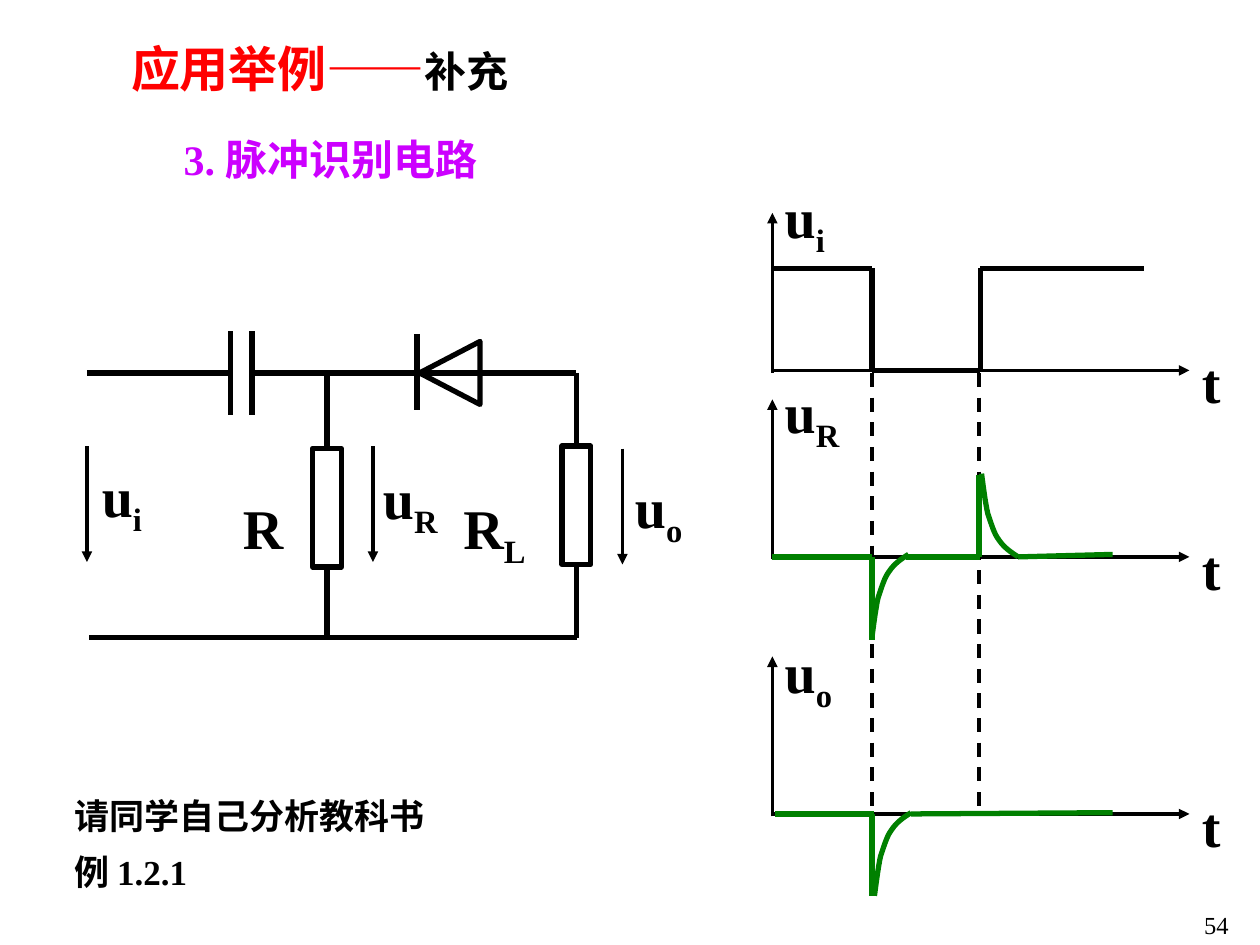
from lxml import etree
from pptx import Presentation
from pptx.dml.color import RGBColor
from pptx.enum import dml, shapes, text
from pptx.oxml import ns
from pptx.util import Inches, Pt

COLORS = {"ink": "000000", "title": "FF0000", "topic": "CC00FF", "signal": "008000"}
LATIN, CHINESE = "Times New Roman", "Noto Sans CJK SC"
DECAY = [
    [(1, 0), (0.79, 0.06), (0.62, 0.11), (0.48, 0.2)],
    [(0.48, 0.2), (0.34, 0.28), (0.28, 0.38), (0.17, 0.52)],
    [(0.17, 0.52), (0.1, 0.65), (0.03, 0.91), (0, 1)],
]


def rgb(name):
    """Return the named colour."""
    return RGBColor.from_string(COLORS[name])


def add_line(slide, start, end, color="ink", width=3, arrow=False, dashed=False):
    """Draw a straight line between two points in inches."""
    connector = slide.shapes.add_connector(
        shapes.MSO_CONNECTOR.STRAIGHT, *(Inches(value) for value in (*start, *end))
    )
    connector.line.color.rgb = rgb(color)
    connector.line.width = Pt(width)
    if dashed:
        connector.line.dash_style = dml.MSO_LINE.DASH
    if arrow:
        line = connector.line._get_or_add_ln()
        etree.SubElement(line, ns.qn("a:tailEnd"), type="triangle")
    etree.SubElement(connector._element.spPr, ns.qn("a:effectLst"))
    return connector


def style_outline(shape, color="ink"):
    """Leave a shape unfilled with a thick outline."""
    shape.shadow.inherit = False
    shape.fill.background()
    shape.line.color.rgb = rgb(color)
    shape.line.width = Pt(3)


def add_run(paragraph, wording, size, color="ink", bold=True, latin=LATIN, baseline=None):
    """Append one formatted run."""
    run = paragraph.add_run()
    run.text = wording
    run.font.size, run.font.bold, run.font.name = Pt(size), bold, latin
    run.font.color.rgb = rgb(color)
    properties = run._r.get_or_add_rPr()
    etree.SubElement(properties, ns.qn("a:ea"), typeface=CHINESE)
    if baseline is not None:
        properties.set("baseline", str(baseline))


def add_box(slide, left, top, width, height, anchor=text.MSO_ANCHOR.TOP):
    """Add a wrapping text box and return its text frame."""
    box = slide.shapes.add_textbox(*(Inches(value) for value in (left, top, width, height)))
    box.text_frame.word_wrap = True
    box.text_frame.vertical_anchor = anchor
    return box.text_frame


def add_label(slide, left, top, symbol, subscript="", width=0.9):
    """Write a bold symbol with an optional subscript."""
    frame = add_box(slide, left, top, width, 0.7)
    frame.margin_top = Inches(0.1)
    add_run(frame.paragraphs[0], symbol, 32)
    if subscript:
        add_run(frame.paragraphs[0], subscript, 32, baseline=-25000)


def add_resistor(slide, left, top, upper_rail, lower_rail):
    """Place a resistor wired to the upper and lower rails."""
    width, height = 0.23, 0.94
    resistor = slide.shapes.add_shape(
        shapes.MSO_SHAPE.RECTANGLE, Inches(left), Inches(top), Inches(width), Inches(height)
    )
    style_outline(resistor)
    center = left + width / 2
    add_line(slide, (center, upper_rail), (center, top)).end_connect(resistor, 0)
    add_line(slide, (center, lower_rail), (center, top + height)).end_connect(resistor, 2)


def add_circuit(slide, left, top):
    """Draw the differentiating circuit with its diode and load."""
    def at(x, y):
        return left + x, top + y

    upper, lower = 0.33, 2.43
    wires = [
        ((0, upper), (1.14, upper)),
        ((1.31, upper), (3.88, upper)),
        ((0.02, lower), (3.89, lower)),
        ((1.14, 0), (1.14, 0.66)),
        ((1.31, 0), (1.31, 0.66)),
        ((2.62, 0.02), (2.62, 0.62)),
    ]
    for start, end in wires:
        add_line(slide, at(*start), at(*end))
    diode = slide.shapes.add_shape(
        shapes.MSO_SHAPE.ISOSCELES_TRIANGLE,
        *(Inches(value) for value in (*at(2.63, 0.09), 0.5, 0.48)),
    )
    diode.rotation = 270
    style_outline(diode)
    for x, y in [(1.79, 0.93), (3.77, 0.91)]:
        add_resistor(slide, *at(x, y), top + upper, top + lower)
    for x, y in [(0, 0.91), (2.27, 0.91), (4.25, 0.93)]:
        add_line(slide, at(x, y), at(x, y + 0.92), width=2, arrow=True)
    labels = [
        (1.14, 1.19, "R", ""),
        (2.89, 1.19, "R", "L"),
        (0.02, 0.93, "u", "i"),
        (2.25, 0.95, "u", "R"),
        (4.25, 1.02, "u", "o"),
    ]
    for x, y, symbol, subscript in labels:
        add_label(slide, *at(x, y), symbol, subscript)


def add_axes(slide, left, zero, subscript, label_rise):
    """Draw one pair of time axes with its labels."""
    add_line(slide, (left, zero + 0.02), (left, zero - 1.25), width=2, arrow=True)
    add_line(slide, (left, zero), (left + 3.31, zero), width=2, arrow=True)
    add_label(slide, left, zero - label_rise, "u", subscript)
    add_label(slide, left + 3.31, zero - 0.28, "t", width=0.46)


def add_decay(slide, left, top, rising=False):
    """Draw a pulse tail below the axis, or above it when rising."""
    points = []
    for curve in DECAY:
        for step in range(9):
            t = step / 8
            weights = ((1 - t) ** 3, 3 * t * (1 - t) ** 2, 3 * t * t * (1 - t), t ** 3)
            x, y = (sum(w * p[axis] for w, p in zip(weights, curve)) for axis in (0, 1))
            y = 1 - y if rising else y
            points.append((Inches(left + 0.29 * x), Inches(top + 0.66 * y)))
    builder = slide.shapes.build_freeform(*points[0])
    builder.add_line_segments(points[1:], close=False)
    style_outline(builder.convert_to_shape(), "signal")


def add_waveforms(slide, left, top):
    """Draw the three stacked signals against time."""
    input_zero, resistor_zero, output_zero = top + 1.25, top + 2.73, top + 4.77
    fall, rise, end = left + 0.79, left + 1.65, left + 2.7
    for zero, subscript, label_rise in [
        (input_zero, "i", 1.59), (resistor_zero, "R", 1.52), (output_zero, "o", 1.5)
    ]:
        add_axes(slide, left, zero, subscript, label_rise)
    high = input_zero - 0.81
    corners = [(left, high), (fall, high), (fall, input_zero),
               (rise, input_zero), (rise, high), (left + 2.95, high)]
    for start, finish in zip(corners, corners[1:]):
        add_line(slide, start, finish)
    for x in (fall, rise - 0.01):
        add_line(slide, (x, input_zero + 0.02), (x, output_zero), width=2, dashed=True)
    signals = [
        ((left, resistor_zero), (fall, resistor_zero)),
        ((fall, resistor_zero), (fall, resistor_zero + 0.66)),
        ((fall + 0.27, resistor_zero), (rise, resistor_zero)),
        ((rise - 0.01, resistor_zero), (rise - 0.01, resistor_zero - 0.65)),
        ((rise + 0.3, resistor_zero), (end, resistor_zero - 0.02)),
        ((left + 0.02, output_zero), (fall + 0.02, output_zero)),
        ((fall, output_zero), (fall, output_zero + 0.65)),
        ((fall + 0.31, output_zero), (end, output_zero - 0.01)),
    ]
    for start, finish in signals:
        add_line(slide, start, finish, "signal")
    add_decay(slide, fall, resistor_zero - 0.02)
    add_decay(slide, rise + 0.01, resistor_zero - 0.66, rising=True)
    add_decay(slide, fall + 0.02, output_zero - 0.01)


def add_heading(slide, left, top):
    """Fill the title placeholder and write the topic below it."""
    title = slide.shapes.title
    title.left, title.top, title.width, title.height = (
        Inches(value) for value in (left, top, 4.45, 0.57)
    )
    frame = title.text_frame
    frame.vertical_anchor, frame.margin_left = text.MSO_ANCHOR.MIDDLE, Inches(0.29)
    frame.paragraphs[0].alignment = text.PP_ALIGN.LEFT
    add_run(frame.paragraphs[0], "应用举例——", 28, "title", latin=CHINESE)
    add_run(frame.paragraphs[0], "补充", 24, latin=CHINESE)
    topic = add_box(slide, left + 0.61, top + 0.72, 4.11, 0.54, text.MSO_ANCHOR.MIDDLE)
    topic.paragraphs[0].line_spacing = 1.1
    add_run(topic.paragraphs[0], "3. 脉冲识别电路", 24, "topic")


def add_notes(slide, left, top):
    """Write the reading assignment and the page number."""
    frame = add_box(slide, left, top, 3.2, 0.94)
    add_run(frame.paragraphs[0], "请同学自己分析教科书", 20)
    example = frame.add_paragraph()
    example.space_before = Pt(7.5)
    add_run(example, "例 1.2.1", 20)
    number = add_box(slide, 9.31, 7.18, 0.69, 0.32, text.MSO_ANCHOR.MIDDLE)
    number.paragraphs[0].alignment = text.PP_ALIGN.CENTER
    add_run(number.paragraphs[0], "54", 14, bold=False)


def main():
    """Build and save the slide."""
    presentation = Presentation()
    presentation.slide_width, presentation.slide_height = Inches(10), Inches(7.5)
    slide = presentation.slides.add_slide(presentation.slide_layouts[5])
    add_circuit(slide, 0.69, 2.63)
    add_waveforms(slide, 6.13, 1.69)
    add_heading(slide, 0.75, 0.25)
    add_notes(slide, 0.49, 6.26)
    presentation.save("out.pptx")


if __name__ == "__main__":
    main()
